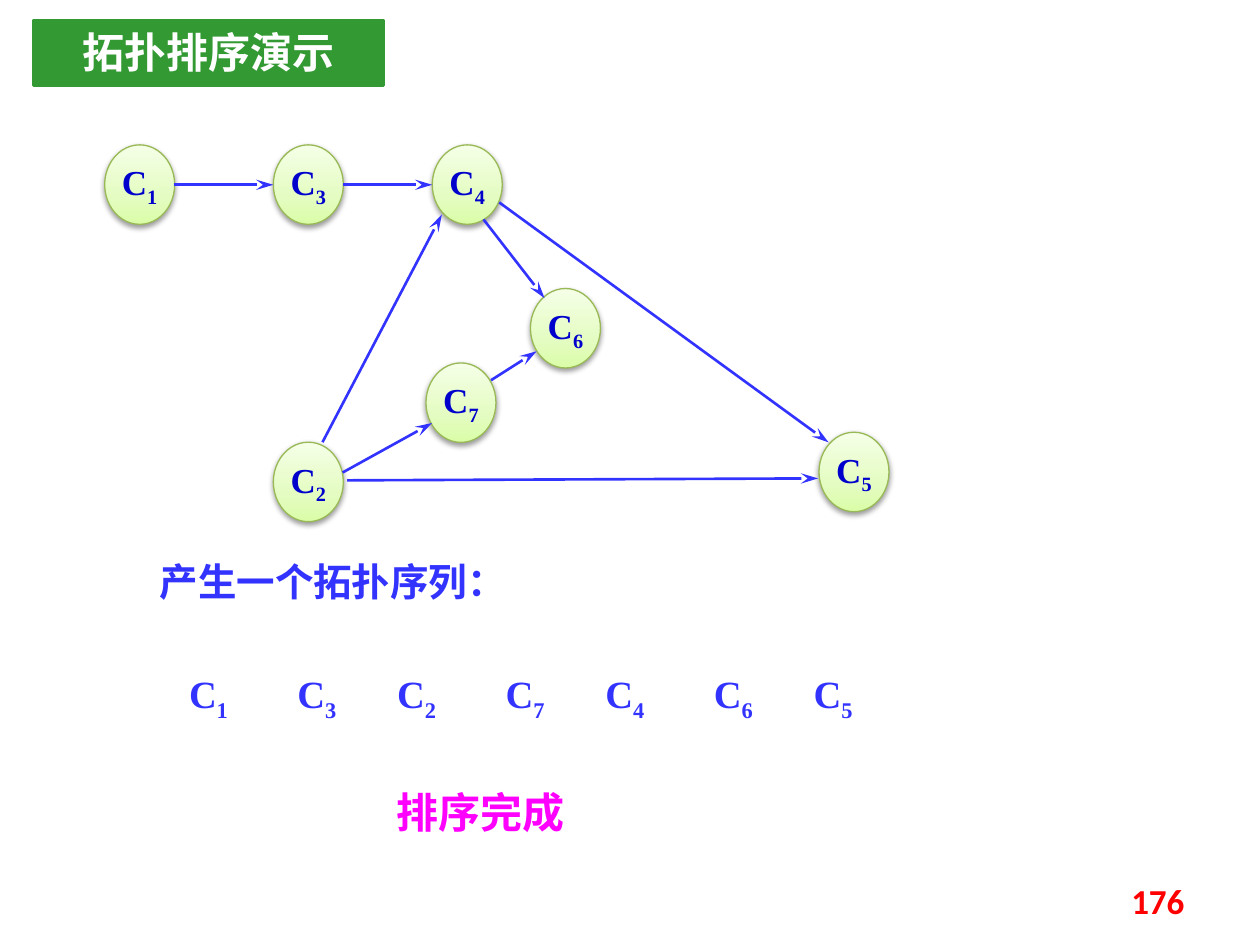
from copy import deepcopy
from lxml.etree import SubElement
from pptx import Presentation
from pptx.dml.color import RGBColor as RGB
from pptx.enum.shapes import MSO_CONNECTOR as LINK, MSO_SHAPE as SHAPE
from pptx.enum.text import MSO_ANCHOR as ANCHOR, PP_ALIGN as ALIGN
from pptx.oxml.ns import qn
from pptx.util import Pt

COLORS = {
    "blue": "3333FF", "navy": "0000CC", "green": "339933", "white": "FFFFFF",
    "magenta": "FF00FF", "red": "FF0000", "rim": "98B955", "shadow": "000000",
}
NODE_GRADIENT = [(0, "DAFDA7"), (0.35, "E4FCC2"), (1, "F5FFE7")]
NODE_W, NODE_H = 40, 45.4


def write_text(shape, text, size, color, sub="", font="Times New Roman",
               align=ALIGN.CENTER, anchor=ANCHOR.TOP, wrap=True, inset=None):
    frame = shape.text_frame
    frame.word_wrap = wrap
    frame.vertical_anchor = anchor
    if inset is not None:
        frame.margin_left = frame.margin_right = Pt(inset)
        frame.margin_top = frame.margin_bottom = Pt(inset)
    paragraph = frame.paragraphs[0]
    paragraph.alignment = align
    for part, baseline in ((text, 0), (sub, -25000)):
        if not part:
            continue
        run = paragraph.add_run()
        run.text = part
        run.font.size = Pt(size)
        run.font.bold = True
        run.font.name = font
        run.font.color.rgb = RGB.from_string(COLORS[color])
        props = run.font._element
        SubElement(props, qn("a:ea"), typeface="Noto Sans CJK SC")
        if baseline:
            props.set("baseline", str(baseline))


prs = Presentation()
prs.slide_width, prs.slide_height = Pt(720), Pt(540)
slide = prs.slides.add_slide(prs.slide_layouts[6])
shapes = slide.shapes

nodes = {
    "1": (59.8, 82.8), "3": (156.2, 82.8), "4": (247, 82.8), "2": (156.2, 252.7),
    "7": (243.4, 207.4), "6": (303.1, 164.9), "5": (468, 247),
}
for number, (x, y) in nodes.items():
    node = shapes.add_shape(SHAPE.OVAL, Pt(x), Pt(y), Pt(NODE_W), Pt(NODE_H))
    node.fill.gradient()
    node.fill.gradient_angle = 90
    stop_list = node._element.spPr.find(".//" + qn("a:gsLst"))
    stop_list.append(deepcopy(stop_list[-1]))
    for stop, (position, color) in zip(node.fill.gradient_stops, NODE_GRADIENT):
        stop.position = position
        stop.color.rgb = RGB.from_string(color)
    node.line.color.rgb = RGB.from_string(COLORS["rim"])
    node.line.width = Pt(0.75)
    node.shadow.inherit = False
    effects = node._element.spPr.find(qn("a:effectLst"))
    shadow = SubElement(effects, qn("a:outerShdw"), blurRad=str(Pt(3.1)),
                        dist=str(Pt(1.6)), dir="5400000", rotWithShape="0")
    shade = SubElement(shadow, qn("a:srgbClr"), val=COLORS["shadow"])
    SubElement(shade, qn("a:alpha"), val="38000")
    write_text(node, "C", 20, "navy", sub=number, anchor=ANCHOR.MIDDLE, wrap=False)

edges = [
    (99.6, 105.6, 156.2, 105.6),
    (196, 105.6, 247, 105.6),
    (184.3, 252.7, 252.5, 122.6),
    (195.8, 270, 247, 241.7),
    (280.6, 217.3, 306.7, 200.7),
    (285.3, 115.7, 473.5, 252.8),
    (198.4, 274.5, 467.5, 273.4),
    (276.3, 125.4, 311.2, 170.4),
]
for x1, y1, x2, y2 in edges:
    edge = shapes.add_connector(LINK.STRAIGHT, Pt(x1), Pt(y1), Pt(x2), Pt(y2))
    edge.line.color.rgb = RGB.from_string(COLORS["blue"])
    edge.line.width = Pt(1.5)
    SubElement(edge.line._get_or_add_ln(), qn("a:tailEnd"),
               type="stealth", w="med", len="lg")
    SubElement(edge._element.spPr, qn("a:effectLst"))

title = shapes.add_shape(SHAPE.RECTANGLE, Pt(19.3), Pt(11.5), Pt(199.8), Pt(37.5))
title.fill.solid()
title.fill.fore_color.rgb = RGB.from_string(COLORS["green"])
title.line.color.rgb = RGB.from_string(COLORS["green"])
title.line.width = Pt(1.5)
title.shadow.inherit = False
write_text(title, "拓扑排序演示", 24, "white", font="Noto Sans CJK SC")

heading = shapes.add_textbox(Pt(54), Pt(315.4), Pt(272.2), Pt(33.8))
write_text(heading, "产生一个拓扑序列：", 22, "blue")

for i, number in enumerate("1327465"):
    x = 93.6 + 119 * (i // 2) + 62 * (i % 2)
    item = shapes.add_textbox(Pt(x), Pt(383), Pt(51), Pt(26.6))
    write_text(item, "C", 22, "blue", sub=number, inset=0)

conclusion = shapes.add_textbox(Pt(206.6), Pt(445.7), Pt(136), Pt(36))
write_text(conclusion, "排序完成", 24, "magenta")

page_number = shapes.add_textbox(Pt(516.2), Pt(500.4), Pt(167.8), Pt(28.8))
write_text(page_number, "176", 20, "red", font="Calibri",
           align=ALIGN.RIGHT, anchor=ANCHOR.MIDDLE)

prs.save("out.pptx")
